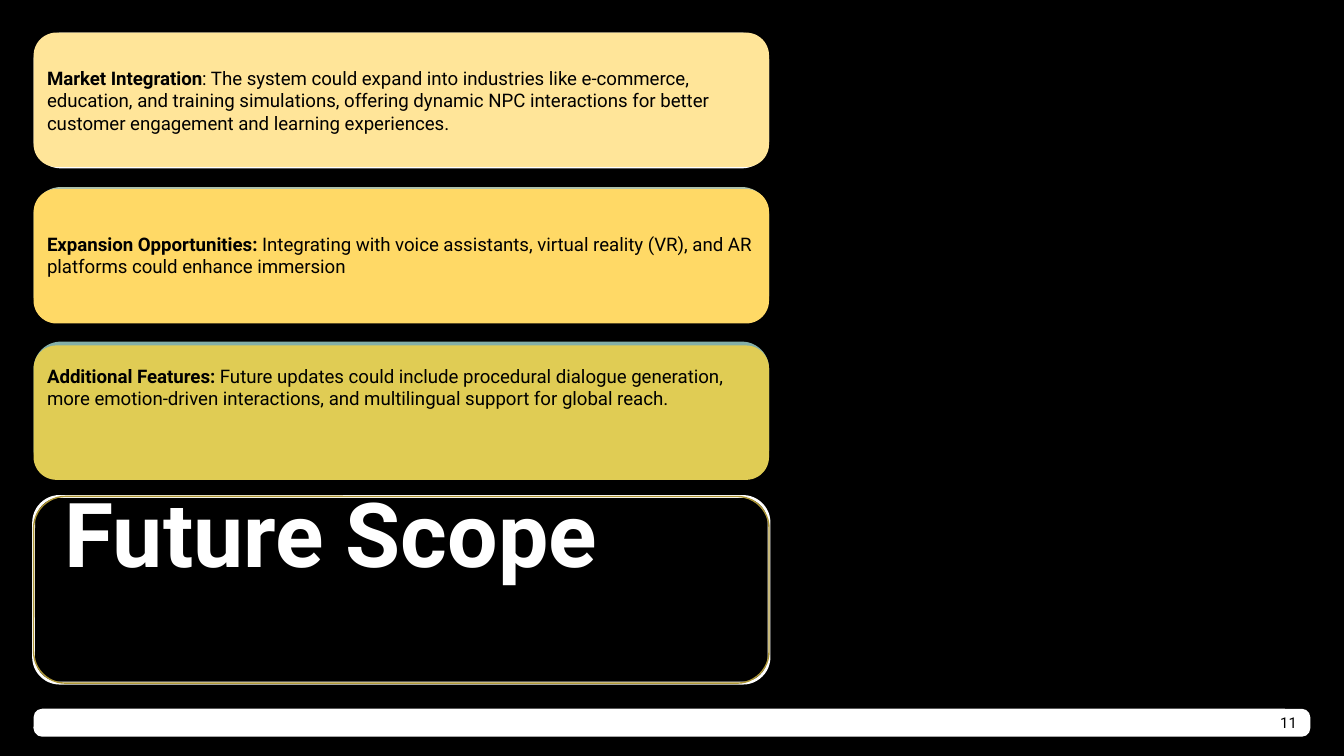
from pptx import Presentation
from pptx.dml.color import RGBColor
from pptx.enum.shapes import MSO_SHAPE
from pptx.enum.text import MSO_ANCHOR, MSO_AUTO_SIZE, PP_ALIGN
from pptx.oxml.xmlchemy import OxmlElement
from pptx.util import Pt

COLORS = {
    "black": "000000", "white": "FFFFFF", "sage": "ADC2AC", "teal": "83AFA8",
    "cream": "FFE599", "yellow": "FFD966", "olive": "E0CC54", "gold": "AD9636",
}
LEFT, WIDTH, CARD_HEIGHT = 18, 394, 72.7
TOPS = [17.5, 100.2, 183]
CARDS = [
    ("white", "cream", "Market Integration",
     ": The system could expand into industries like e-commerce, education, and "
     "training simulations, offering dynamic NPC interactions for better customer "
     "engagement and learning experiences."),
    ("sage", "yellow", "Expansion Opportunities:",
     " Integrating with voice assistants, virtual reality (VR), and AR platforms "
     "could enhance immersion"),
    ("teal", "olive", "Additional Features:",
     " Future updates could include procedural dialogue generation, more "
     "emotion-driven interactions, and multilingual support for global reach."),
]


def add_panel(box, radius, fill=None, line=None, line_width=1):
    """Add a rounded rectangle; box is left, top, width, height in points."""
    sp = s.shapes.add_shape(MSO_SHAPE.ROUNDED_RECTANGLE, *map(Pt, box))
    sp.adjustments[0] = radius
    sp.shadow.inherit = False
    if fill:
        sp.fill.solid()
        sp.fill.fore_color.rgb = RGBColor.from_string(COLORS[fill])
    else:
        sp.fill.background()
    if line:
        sp.line.color.rgb = RGBColor.from_string(COLORS[line])
        sp.line.width = Pt(line_width)
    else:
        sp.line.fill.background()


def write(sp, box, runs, size=10, color="black", align=PP_ALIGN.LEFT,
          anchor=MSO_ANCHOR.MIDDLE, spacing=1.0, bottom=7.2):
    """Place a text shape in front and fill it with (text, bold) runs."""
    s.shapes._spTree.append(sp._element)
    sp.left, sp.top, sp.width, sp.height = map(Pt, box)
    tf = sp.text_frame
    tf.word_wrap = True
    tf.auto_size = MSO_AUTO_SIZE.NONE
    tf.vertical_anchor = anchor
    tf.margin_left = tf.margin_right = tf.margin_top = Pt(7.2)
    tf.margin_bottom = Pt(bottom)
    p = tf.paragraphs[0]
    p.alignment = align
    p.line_spacing = spacing
    p.space_before = p.space_after = Pt(0)
    pPr = p._p.get_or_add_pPr()
    pPr.set("marL", "0")
    pPr.set("indent", "0")
    pPr.append(OxmlElement("a:buNone"))
    for text, bold in runs:
        r = p.add_run()
        r.text = text
        r.font.name = "Roboto"
        r.font.size = Pt(size)
        r.font.bold = bold
        r.font.color.rgb = RGBColor.from_string(COLORS[color])


prs = Presentation()
prs.slide_width, prs.slide_height = Pt(720), Pt(405)
s = prs.slides.add_slide(prs.slide_layouts[4])
s.background.fill.solid()
s.background.fill.fore_color.rgb = RGBColor.from_string(COLORS["black"])
title, *bodies, spare = list(s.placeholders)
spare._element.getparent().remove(spare._element)

# Title frame and footer bar
title_box = (LEFT, 266, WIDTH, 100)
add_panel(title_box, 0.14, line="white", line_width=1.5)
add_panel(title_box, 0.17, line="gold", line_width=0.75)
add_panel((LEFT, 379.7, 684, 15), 0.31, fill="white")

# Cards: a backing panel, a coloured panel slightly lower, and the text
for i, (back, front, heading, detail) in enumerate(CARDS):
    box = (LEFT, TOPS[i], WIDTH, CARD_HEIGHT)
    add_panel(box, 0.2, fill=back)
    add_panel((LEFT, 17.5 + 83.8 * i, WIDTH, 72), 0.17, fill=front)
    write(bodies[i], box, [(heading, True), (detail, False)],
          bottom=31.2 if i == 2 else 7.2)

write(title, (27.5, 269.3, 374.5, 76.3), [("Future Scope", True)], size=48,
      color="white", anchor=MSO_ANCHOR.TOP, spacing=0.6)
number = s.shapes.add_textbox(0, 0, Pt(65), Pt(15))
write(number, (636.8, 379.7, 65.2, 15), [("11", False)], size=8,
      align=PP_ALIGN.RIGHT)

prs.save("out.pptx")
